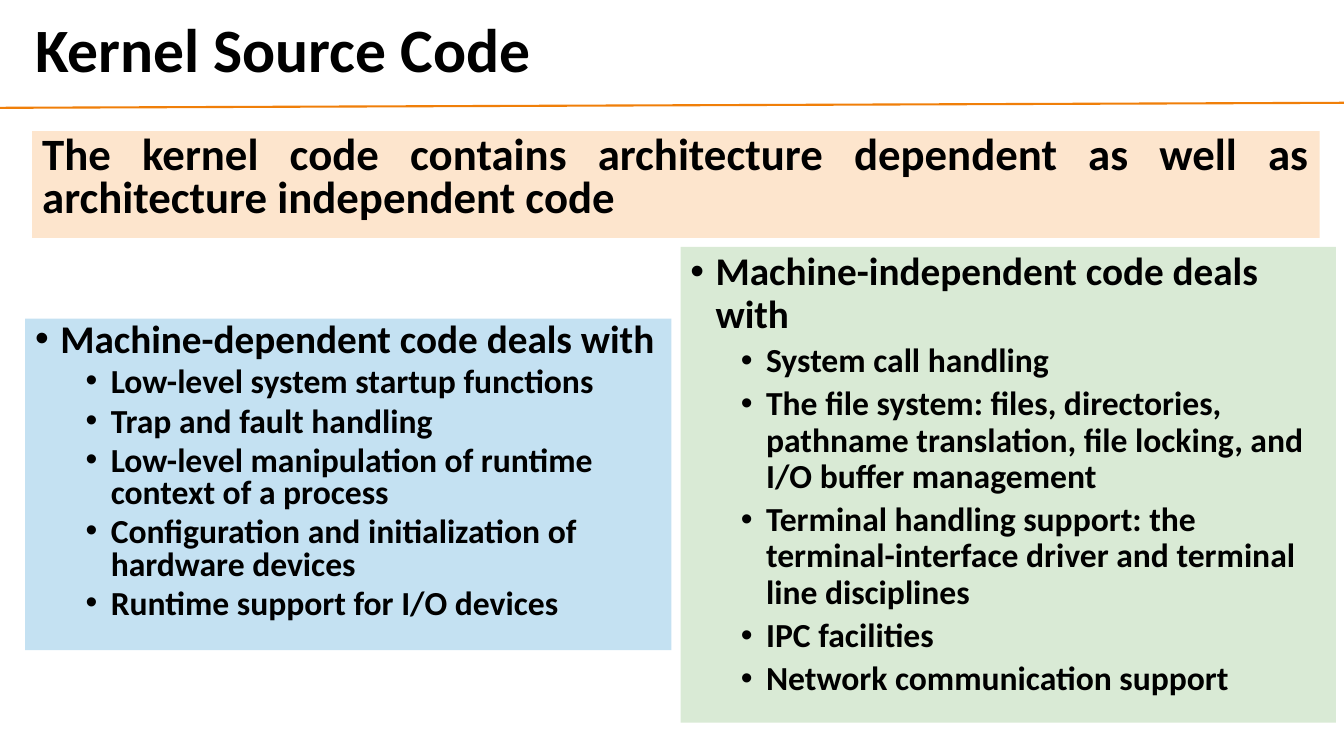
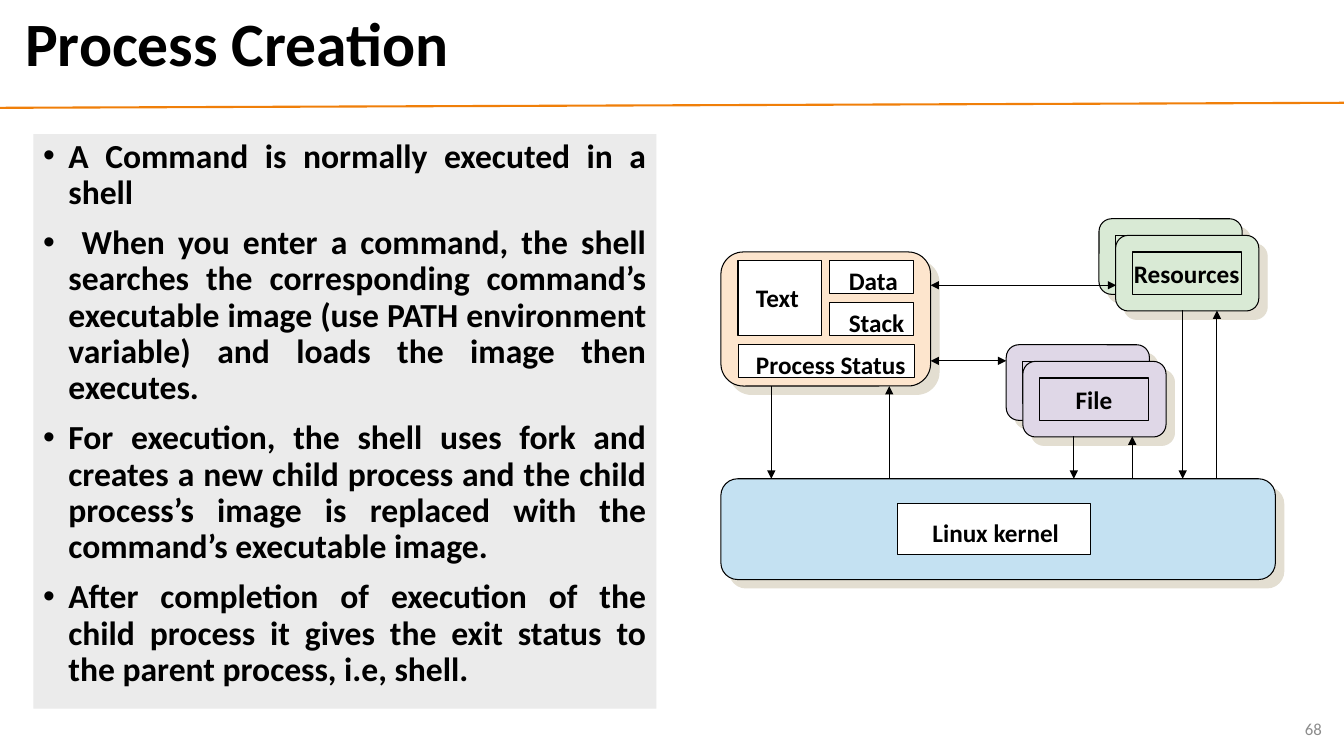
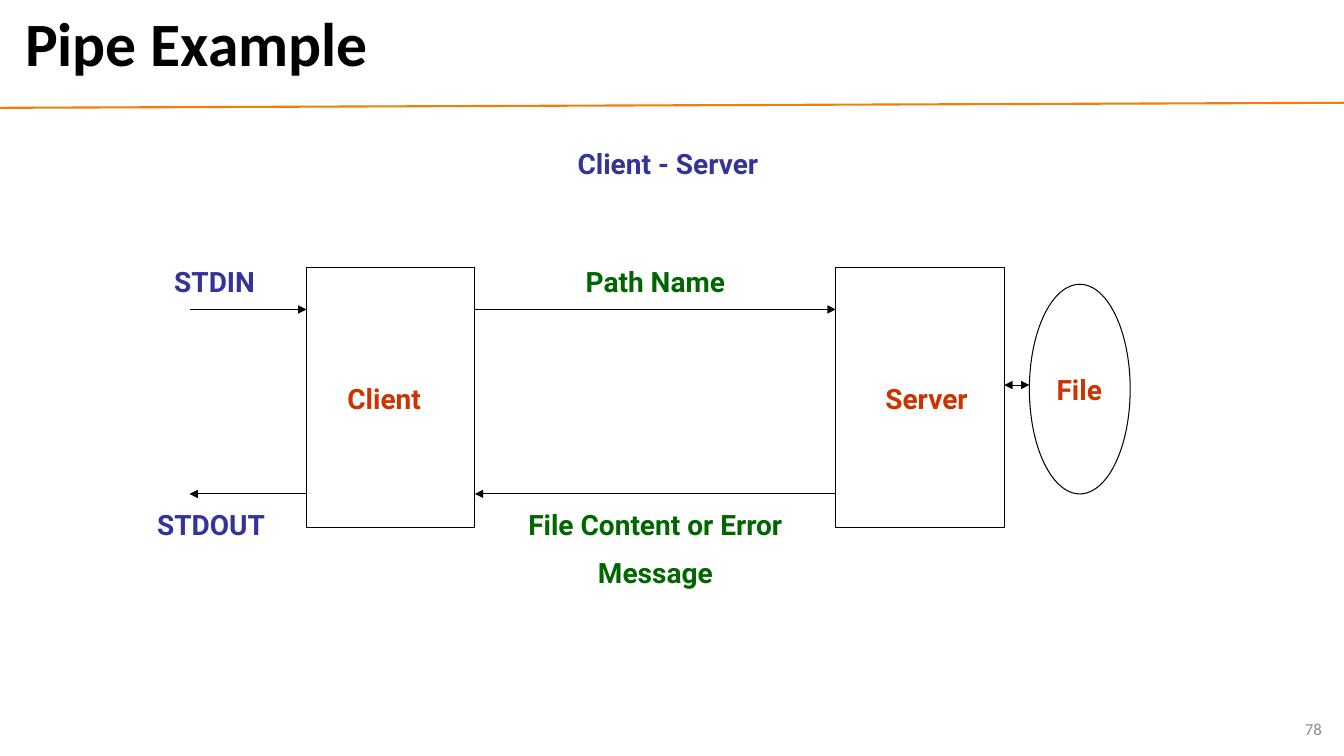
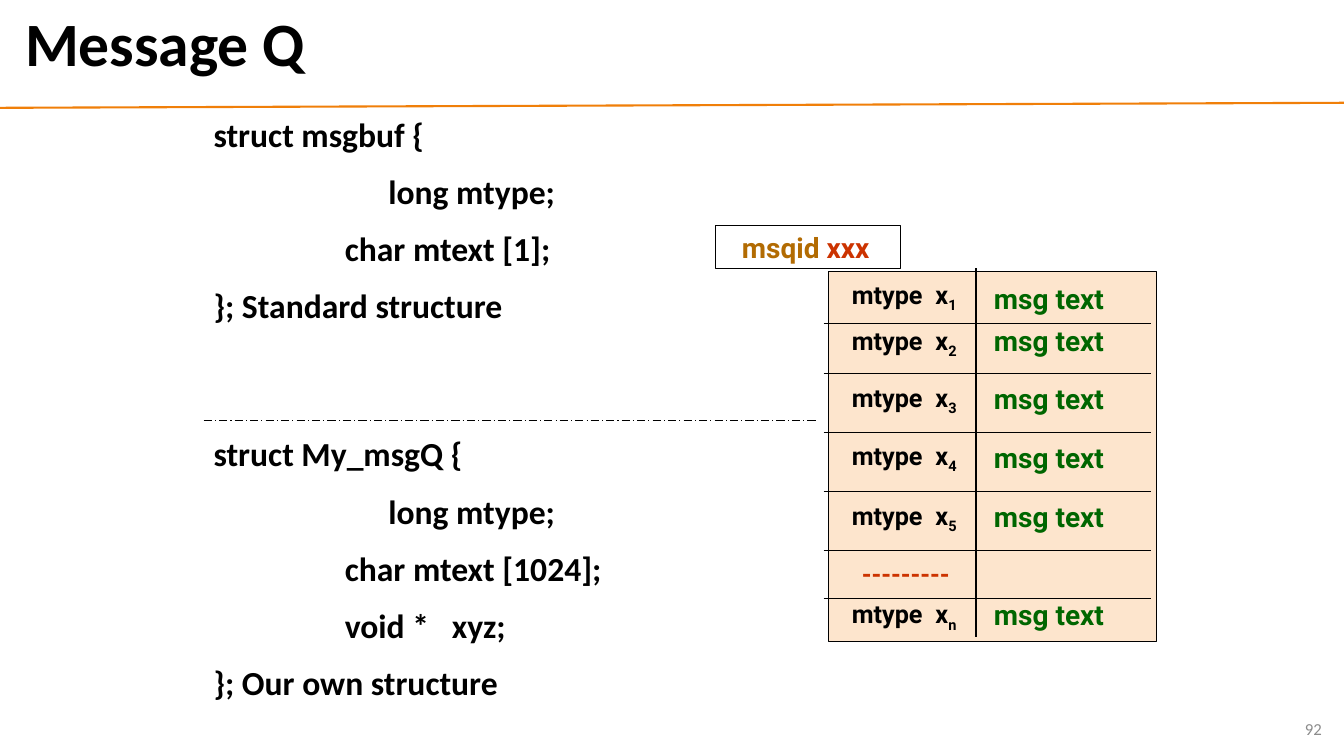
from lxml import etree
from pptx import Presentation
from pptx.dml.color import RGBColor
from pptx.enum.dml import MSO_LINE
from pptx.enum.shapes import MSO_CONNECTOR, MSO_SHAPE
from pptx.enum.text import MSO_ANCHOR, PP_ALIGN
from pptx.oxml.ns import qn
from pptx.util import Inches, Pt

STRAIGHT = MSO_CONNECTOR.STRAIGHT
RECT, ROUND, OVAL = MSO_SHAPE.RECTANGLE, MSO_SHAPE.ROUNDED_RECTANGLE, MSO_SHAPE.OVAL
LEFT, MID, RIGHT, JUST = PP_ALIGN.LEFT, PP_ALIGN.CENTER, PP_ALIGN.RIGHT, PP_ALIGN.JUSTIFY
TOP, CENTER = MSO_ANCHOR.TOP, MSO_ANCHOR.MIDDLE
DASH = MSO_LINE.LONG_DASH_DOT

BLACK, WHITE, GREY, MIST = "000000", "FFFFFF", "8C8C8C", "EBEBEB"
ORANGE, PEACH, BLUE, MINT, LILAC = "F07F09", "FDE5CD", "C4E1F2", "D9EAD5", "DFD7E7"
SHADE, RED, GREEN, NAVY, BROWN = "E3DED1", "CC3300", "006600", "333399", "B26B02"
SANS, ROBOTO = "Calibri", "Roboto"
TITLE = (0.15, 0.05, 12.89, 0.83)

LEAD = "The kernel code contains architecture dependent as well as architecture independent code"
PANELS = [
    ((0.25, 3.16, 6.41, 3.29), BLUE, 0.8, "Machine-dependent code deals with", [
        "Low-level system startup functions",
        "Trap and fault handling",
        "Low-level manipulation of runtime context of a process",
        "Configuration and initialization of hardware devices",
        "Runtime support for I/O devices",
    ]),
    ((6.75, 2.45, 6.5, 4.72), MINT, 0.9, "Machine-independent code deals with", [
        "System call handling",
        "The file system: files, directories, pathname translation, file locking, "
        "and I/O buffer management",
        "Terminal handling support: the terminal-interface driver and terminal line disciplines",
        "IPC facilities",
        "Network communication support",
    ]),
]

STEPS = [
    "A Command is normally executed in a shell",
    " When you enter a command, the shell searches the corresponding command’s executable "
    "image (use PATH environment variable) and loads the image then executes.",
    "For execution, the shell uses fork and creates a new child process and the child "
    "process’s image is replaced with the command’s executable image.",
    "After completion of execution of the child process it gives the exit status to the "
    "parent process, i.e, shell.",
]
BLOCKS = [
    ((7.15, 2.5, 2.08, 1.33), PEACH),
    ((7.15, 4.75, 5.5, 1), BLUE),
]
PARTS = [
    ("Text", (7.32, 2.58, 0.83, 0.75), (7.4, 2.75, 0.63, 0.4)),
    ("Data", (8.23, 2.58, 0.83, 0.33), (8.32, 2.58, 0.69, 0.4)),
    ("Stack", (8.23, 3, 0.83, 0.33), (8.32, 3, 0.76, 0.4)),
    ("Process Status", (7.32, 3.42, 1.75, 0.33), (7.4, 3.42, 1.7, 0.4)),
    ("Linux kernel", (8.9, 5, 1.92, 0.5), (9.15, 5.08, 1.47, 0.4)),
]
STACKS = [("Resources", 10.9, 2.17, MINT), ("File", 9.98, 3.42, LILAC)]
STEP = 0.165
FLOWS = [
    (9.23, 3.58, 9.98, 3.58, "<>"),
    (9.23, 2.83, 11.07, 2.83, "<>"),
    (7.65, 3.83, 7.65, 4.75, ">"),
    (8.82, 3.83, 8.82, 4.75, "<"),
    (11.73, 3.08, 11.73, 4.75, ">"),
    (12.07, 3.08, 12.07, 4.75, "<"),
    (10.65, 4.33, 10.65, 4.75, ">"),
    (11.23, 4.33, 11.23, 4.75, "<"),
]

NODES = [
    (RECT, (3.04, 2.65, 1.67, 2.58)),
    (RECT, (8.29, 2.65, 1.67, 2.58)),
    (OVAL, (10.21, 2.82, 1, 2.08)),
]
PIPES = [
    (1.88, 3.07, 3.04, 3.07, ">"),
    (4.71, 3.07, 8.29, 3.07, ">"),
    (1.88, 4.9, 3.04, 4.9, "<"),
    (4.71, 4.9, 8.29, 4.9, "<"),
    (9.96, 3.82, 10.21, 3.82, "<>"),
]
NAMES = [
    (["Client - Server"], (3.25, 1.4, 6.75, 0.43), NAVY, MID),
    (["STDIN"], (1.63, 2.57, 1.33, 0.43), NAVY, LEFT),
    (["STDOUT"], (1.46, 4.99, 1.5, 0.43), NAVY, LEFT),
    (["Path Name"], (4.96, 2.57, 3.08, 0.43), GREEN, MID),
    (["File Content or Error", "Message"], (4.79, 4.99, 3.42, 0.93), GREEN, MID),
    (["Client"], (3.1, 3.74, 1.42, 0.43), RED, MID),
    (["Server"], (8.48, 3.74, 1.42, 0.43), RED, MID),
    (["File"], (10.29, 3.65, 0.83, 0.43), RED, MID),
]

CODE = [
    ((2.02, 1.08, 4.92, 2.32), [
        "struct msgbuf {",
        "                       long mtype;",
        "\t\t    char mtext [1];",
        "}; Standard structure",
    ]),
    ((2.02, 4.25, 6.25, 2.93), [
        "struct My_msgQ {",
        "                       long mtype;",
        "\t\t    char mtext [1024];",
        "\t\t    void *   xyz;",
        "}; Our own structure",
    ]),
]
RULES = [3.21, 3.71, 4.29, 4.88, 5.46, 5.94]
ROWS = [
    ("1", 2.72, 2.74), ("2", 3.18, 3.16), ("3", 3.74, 3.74),
    ("4", 4.32, 4.32), ("5", 4.91, 4.91), ("n", 5.89, 5.88),
]


def tint(code):
    return RGBColor.from_string(code)


def node(home, tag, **attrs):
    return etree.SubElement(home, qn(tag), attrs)


def style(run, size, color=BLACK, font=SANS, bold=True):
    run.font.size, run.font.name, run.font.bold = Pt(size), font, bold
    run.font.color.rgb = tint(color)


def write(shape, lines, size, color=BLACK, font=SANS, align=LEFT, bold=True,
          anchor=TOP, wrap=True, gap=0.0, after=0, lead=None):
    frame = shape.text_frame
    frame.word_wrap, frame.vertical_anchor = wrap, anchor
    frame.text = "\n".join(lines)
    for i, par in enumerate(frame.paragraphs):
        par.alignment = align
        par.space_before, par.space_after = Pt(gap if i else 0), Pt(after)
        if lead:
            par.line_spacing = lead
        for run in par.runs:
            style(run, size, color, font, bold)
    return frame.paragraphs


def label(slide, lines, box, size, **look):
    shape = slide.shapes.add_textbox(*map(Inches, box))
    return write(shape, lines, size, **look)


def draw(slide, kind, box, fill=None, line=BLACK, shade=False):
    shape = slide.shapes.add_shape(kind, *map(Inches, box))
    shape.shadow.inherit = False
    if fill:
        shape.fill.solid()
        shape.fill.fore_color.rgb = tint(fill)
    else:
        shape.fill.background()
    if line:
        shape.line.color.rgb = tint(line)
        shape.line.width = Pt(0.75)
    else:
        shape.line.fill.background()
    if shade:
        glow = node(shape._element.spPr.find(qn("a:effectLst")), "a:outerShdw",
                    blurRad="0", dist=str(Pt(8.5)), dir="2700000", algn="ctr", rotWithShape="0")
        node(glow, "a:srgbClr", val=SHADE)
    return shape


def link(slide, x1, y1, x2, y2, ends="", color=BLACK, width=0.75, dash=None):
    wire = slide.shapes.add_connector(STRAIGHT, *map(Inches, (x1, y1, x2, y2)))
    wire.line.color.rgb = tint(color)
    wire.line.width = Pt(width)
    if dash:
        wire.line.dash_style = dash
    props = wire._element.spPr
    for sign, tag in (("<", "a:headEnd"), (">", "a:tailEnd")):
        if sign in ends:
            node(props.find(qn("a:ln")), tag, type="triangle")
    node(props, "a:effectLst")


def bullet(par, margin):
    props = par._p.get_or_add_pPr()
    props.set("marL", str(Inches(margin)))
    props.set("indent", str(Inches(-0.25)))
    node(props, "a:buFont", typeface="Arial")
    node(props, "a:buChar", char="•")


def start(deck, title, page=None, box=TITLE):
    slide = deck.slides.add_slide(deck.slide_layouts[6])
    link(slide, 0, 1.07, 13.33, 1.02, color=ORANGE, width=1.5)
    label(slide, [title], box, 44, anchor=CENTER, lead=0.9)
    if page:
        label(slide, [page], (10.21, 7.03, 3, 0.4), 12, color=GREY, align=RIGHT,
              bold=False, anchor=CENTER)
    return slide


def source(deck):
    slide = start(deck, "Kernel Source Code", box=(0.25, 0.08, 8.52, 0.88))
    for box, fill, lead, head, items in PANELS:
        panel = draw(slide, RECT, box, fill, None)
        pars = write(panel, [head] + items, 24, gap=5, lead=lead)
        pars[0].runs[0].font.size = Pt(28)
        for i, par in enumerate(pars):
            par.level = 1 if i else 0
            bullet(par, 0.75 if i else 0.25)
    band = draw(slide, RECT, (0.32, 1.3, 12.77, 1.06), PEACH, None)
    write(band, [LEAD], 32, align=JUST, lead=0.8)


def process(deck):
    slide = start(deck, "Process Creation", "68")
    panel = draw(slide, RECT, (0.33, 1.33, 6.18, 5.7), MIST, None)
    for par in write(panel, STEPS, 24, align=JUST, gap=5, after=5, lead=0.9):
        bullet(par, 0.25)
    for box, fill in BLOCKS:
        draw(slide, ROUND, box, fill, shade=True)
    for name, box, spot in PARTS:
        draw(slide, RECT, box, WHITE)
        label(slide, [name], spot, 18, wrap=False)
    for name, x, y, fill in STACKS:
        for i in range(2):
            left, top = x + i * STEP, y + i * STEP
            draw(slide, ROUND, (left, top, 1.42, 0.75), fill, shade=True)
            card = draw(slide, RECT, (left + STEP, top + STEP, 1.08, 0.42), fill)
        write(card, [name], 18, align=MID, anchor=CENTER, wrap=False)
    for flow in FLOWS:
        link(slide, *flow)


def pipe(deck):
    slide = start(deck, "Pipe Example", "78")
    for kind, box in NODES:
        draw(slide, kind, box)
    for wire in PIPES:
        link(slide, *wire)
    for lines, box, color, align in NAMES:
        label(slide, lines, box, 20, color=color, font=ROBOTO, align=align, gap=10)


def queue(deck):
    slide = start(deck, "Message Q", "92")
    draw(slide, RECT, (8.22, 2.69, 3.25, 3.67), PEACH)
    link(slide, 9.68, 2.66, 9.68, 6.32)
    for y in RULES:
        link(slide, 8.17, y, 11.42, y)
    draw(slide, RECT, (7.1, 2.24, 1.83, 0.42))
    par = label(slide, ["msqid"], (7.26, 2.24, 1.67, 0.43), 20, color=BROWN, font=ROBOTO)[0]
    run = par.add_run()
    run.text = " xxx"
    style(run, 20, RED, ROBOTO)
    for mark, top, high in ROWS:
        par = label(slide, ["mtype\tx"], (8.35, top, 1.5, 0.4), 18, font=ROBOTO)[0]
        tabs = node(par._p.get_or_add_pPr(), "a:tabLst")
        node(tabs, "a:tab", pos=str(Inches(0.83)), algn="l")
        run = par.add_run()
        run.text = mark
        style(run, 18, BLACK, ROBOTO)
        run.font._element.set("baseline", "-25000")
        label(slide, ["msg text"], (9.76, high, 1.83, 0.43), 20, color=GREEN, font=ROBOTO)
    label(slide, ["---------"], (8.45, 5.49, 1.3, 0.4), 18, color=RED, font=ROBOTO)
    for box, lines in CODE:
        label(slide, lines, box, 24, gap=12)
    link(slide, 2.02, 4.17, 8.11, 4.17, dash=DASH)


def main():
    deck = Presentation()
    deck.slide_width, deck.slide_height = Inches(13.33), Inches(7.5)
    for make in (source, process, pipe, queue):
        make(deck)
    deck.save("out.pptx")


if __name__ == "__main__":
    main()
